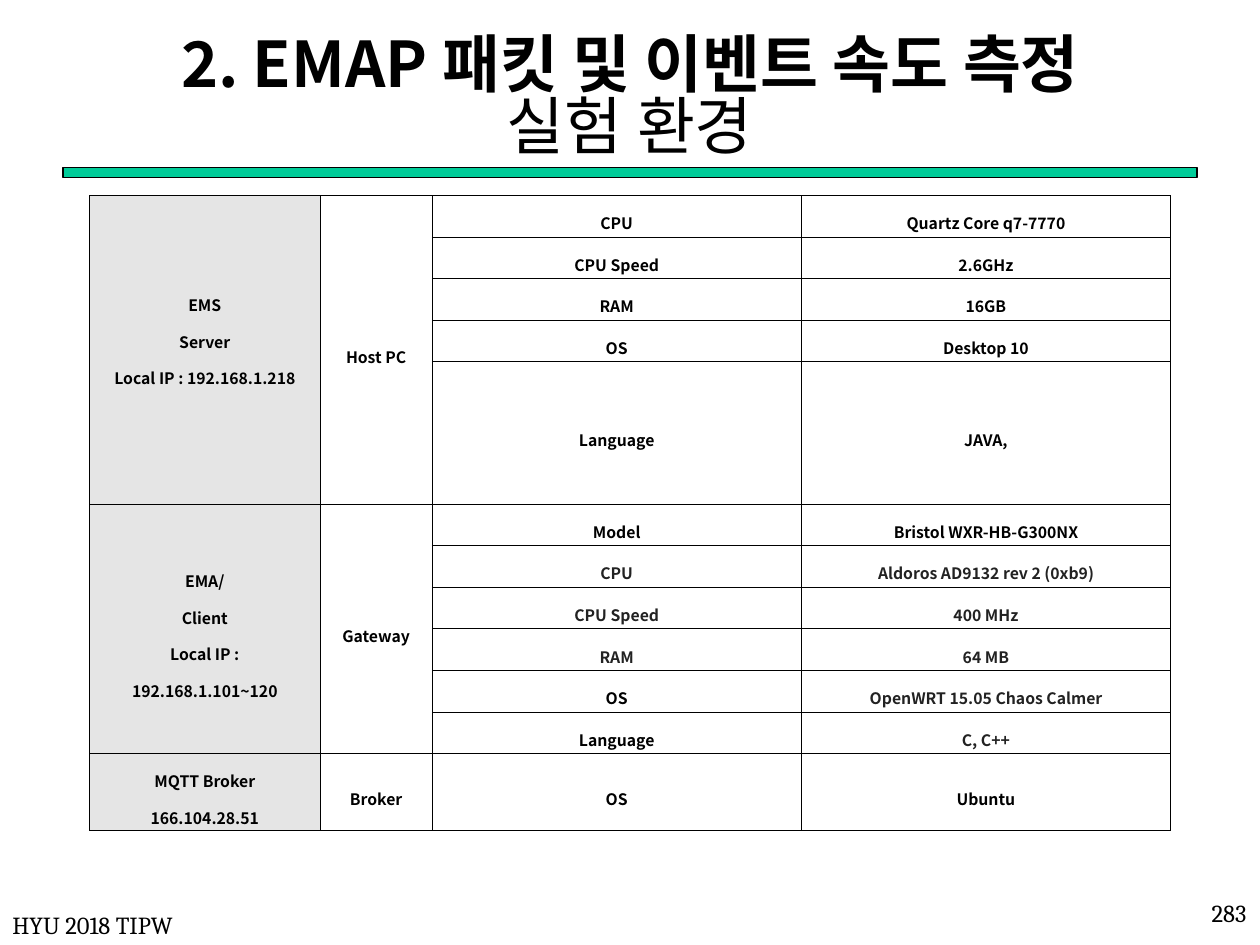
from lxml import etree
from pptx import Presentation
from pptx.dml.color import RGBColor
from pptx.enum import shapes, text
from pptx.oxml.ns import qn
from pptx.util import Inches, Pt

BLACK = RGBColor(0x00, 0x00, 0x00)
CHARCOAL = RGBColor(0x22, 0x22, 0x22)
GREEN = RGBColor(0x00, 0xCC, 0x99)
GRAY = RGBColor(0xE5, 0xE5, 0xE5)
SANS, BODY, SERIF = "Noto Sans CJK KR", "Calibri", "Cambria"

COLUMN_WIDTHS = [1.83, 0.89, 2.93, 2.93]
ROW_HEIGHT, LANGUAGE_HEIGHT, BROKER_HEIGHT = 0.33, 1.13, 0.61

# Each group: machine, role, and rows of (label, label colour, value, value colour)
GROUPS = [
    ("EMS\nServer\nLocal IP : 192.168.1.218", "Host PC", [
        ("CPU", BLACK, "Quartz Core q7-7770", BLACK),
        ("CPU Speed", BLACK, "2.6GHz", BLACK),
        ("RAM", BLACK, "16GB", BLACK),
        ("OS", BLACK, "Desktop 10", BLACK),
        ("Language", BLACK, "JAVA,", BLACK)]),
    ("EMA/\nClient\nLocal IP :\n192.168.1.101~120", "Gateway", [
        ("Model", BLACK, "Bristol WXR-HB-G300NX", BLACK),
        ("CPU", CHARCOAL, "Aldoros AD9132 rev 2 (0xb9)", CHARCOAL),
        ("CPU Speed", CHARCOAL, "400 MHz", CHARCOAL),
        ("RAM", CHARCOAL, "64 MB", CHARCOAL),
        ("OS", BLACK, "OpenWRT 15.05 Chaos Calmer", CHARCOAL),
        ("Language", BLACK, "C, C++", CHARCOAL)]),
    ("MQTT Broker\n166.104.28.51", "Broker", [
        ("OS", BLACK, "Ubuntu", BLACK)]),
]


def style_font(font, name, size, color=BLACK, bold=False):
    font.name, font.size, font.bold = name, Pt(size), bold
    font.color.rgb = color


def add_text_box(slide, left, top, width, height):
    box = slide.shapes.add_textbox(*map(Inches, (left, top, width, height)))
    box.text_frame.word_wrap = True
    return box.text_frame


def add_title(slide):
    frame = add_text_box(slide, 0.5, 0.33, 9, 0.92)
    frame.vertical_anchor = text.MSO_ANCHOR.MIDDLE
    paragraph = frame.paragraphs[0]
    paragraph.alignment = text.PP_ALIGN.CENTER
    paragraph.line_spacing = 0.82
    lines = [("2. EMAP 패킷 및 이벤트 속도 측정", SANS, True), ("실험 환경", BODY, False)]
    for index, (line, font_name, bold) in enumerate(lines):
        if index:
            paragraph.add_line_break()
        run = paragraph.add_run()
        run.text = line
        style_font(run.font, font_name, 36, bold=bold)
        # Hangul takes the East Asian typeface
        east_asian = etree.SubElement(run.font._element, qn("a:ea"))
        east_asian.set("typeface", SANS)


def add_footer(slide, bounds, content, alignment):
    paragraph = add_text_box(slide, *bounds).paragraphs[0]
    paragraph.text = content
    paragraph.alignment = alignment
    style_font(paragraph.font, SERIF, 14)


def add_title_bar(slide):
    bar = slide.shapes.add_shape(shapes.MSO_SHAPE.RECTANGLE, Inches(0.5),
                                 Inches(1.33), Inches(9), Inches(0.08))
    bar.shadow.inherit = False
    bar.fill.solid()
    bar.fill.fore_color.rgb = GREEN
    bar.line.color.rgb = BLACK
    bar.line.width = Pt(0.75)


def add_borders(cell):
    properties = cell._tc.get_or_add_tcPr()
    for index, side in enumerate(("a:lnL", "a:lnR", "a:lnT", "a:lnB")):
        line = etree.Element(qn(side), w=str(Pt(0.28)))
        fill = etree.SubElement(line, qn("a:solidFill"))
        etree.SubElement(fill, qn("a:srgbClr"), val=str(BLACK))
        properties.insert(index, line)


def fill_cell(cell, content, color=BLACK):
    cell.text = content
    cell.vertical_anchor = text.MSO_ANCHOR.MIDDLE
    cell.margin_left = cell.margin_right = Inches(0.06)
    cell.margin_top = cell.margin_bottom = Inches(0.02)
    for paragraph in cell.text_frame.paragraphs:
        paragraph.alignment = text.PP_ALIGN.CENTER
        paragraph.line_spacing = 1.6
        style_font(paragraph.font, SANS, 9, color, bold=True)


def add_environment_table(slide):
    heights = [ROW_HEIGHT] * sum(len(rows) for _, _, rows in GROUPS)
    heights[len(GROUPS[0][2]) - 1] = LANGUAGE_HEIGHT
    heights[-1] = BROKER_HEIGHT
    table = slide.shapes.add_table(
        len(heights), len(COLUMN_WIDTHS), Inches(0.71), Inches(1.55),
        Inches(sum(COLUMN_WIDTHS)), Inches(sum(heights))).table
    table.first_row = table.horz_banding = False
    for column, width in zip(table.columns, COLUMN_WIDTHS):
        column.width = Inches(width)
    for row, height in zip(table.rows, heights):
        row.height = Inches(height)

    # Plain cells with thin borders, gray first column
    for row in table.rows:
        for column_index, cell in enumerate(row.cells):
            if column_index == 0:
                cell.fill.solid()
                cell.fill.fore_color.rgb = GRAY
            else:
                cell.fill.background()
            add_borders(cell)

    # Machine and role span the rows of their group
    first = 0
    for machine, role, rows in GROUPS:
        last = first + len(rows) - 1
        for column_index, content in enumerate((machine, role)):
            cell = table.cell(first, column_index)
            if last > first:
                cell.merge(table.cell(last, column_index))
            fill_cell(cell, content)
        for offset, (label, label_color, value, value_color) in enumerate(rows):
            fill_cell(table.cell(first + offset, 2), label, label_color)
            fill_cell(table.cell(first + offset, 3), value, value_color)
        first = last + 1
    # The server text sits a little above the middle
    table.cell(0, 0).margin_bottom = Inches(0.26)


def main():
    presentation = Presentation()
    presentation.slide_width, presentation.slide_height = Inches(10), Inches(7.5)
    slide = presentation.slides.add_slide(presentation.slide_layouts[6])
    add_title_bar(slide)
    add_title(slide)
    add_footer(slide, (7.91, 7.08, 2.08, 0.42), "283", text.PP_ALIGN.RIGHT)
    add_footer(slide, (0, 7.17, 3.17, 0.33), "HYU 2018 TIPW", text.PP_ALIGN.LEFT)
    add_environment_table(slide)
    presentation.save("out.pptx")


if __name__ == "__main__":
    main()
